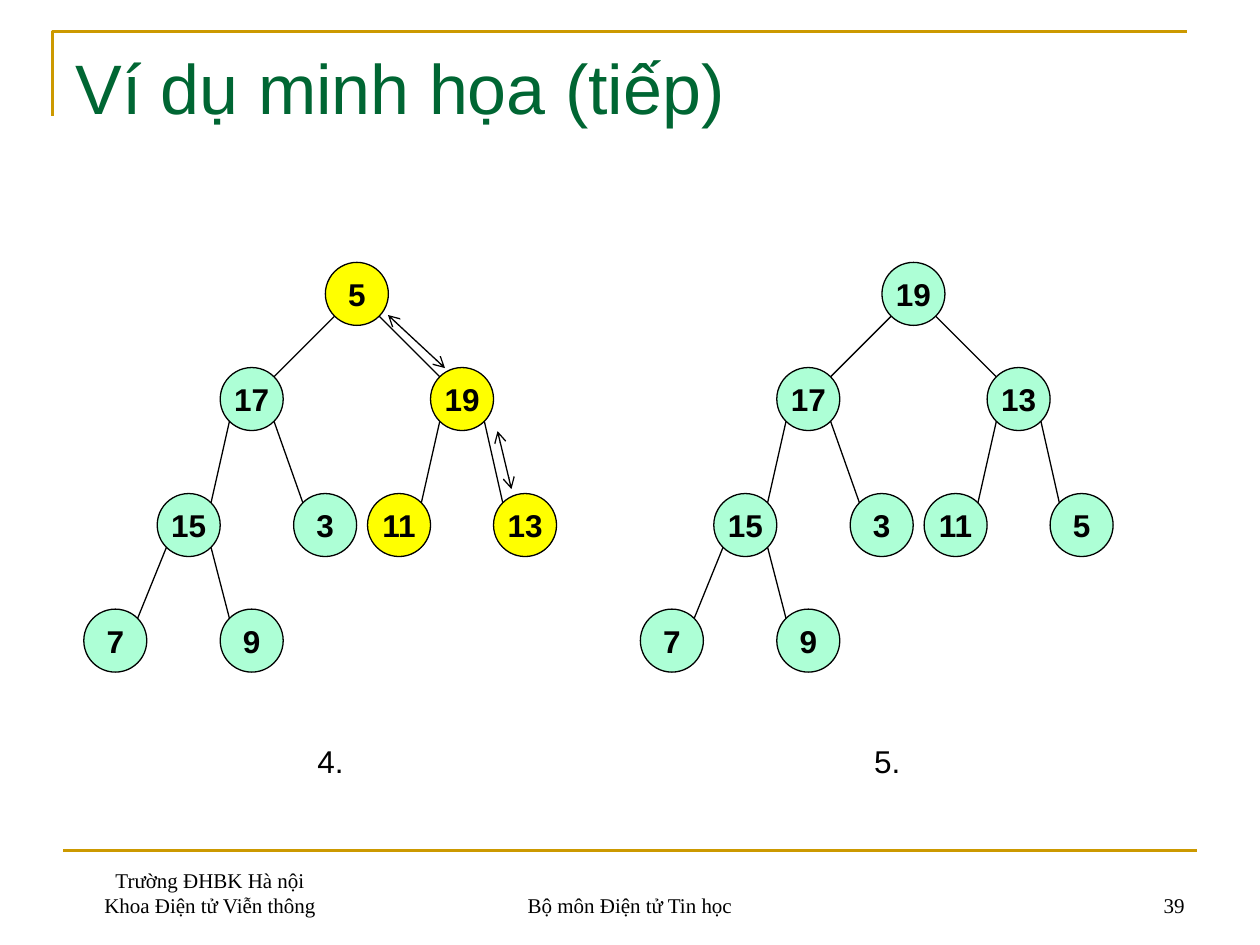
import math

import lxml.etree
import pptx
import pptx.dml.color
import pptx.enum.shapes
import pptx.enum.text
import pptx.oxml.ns
import pptx.util

Cm, Pt = pptx.util.Cm, pptx.util.Pt
ALIGN = pptx.enum.text.PP_ALIGN
ANCHOR = pptx.enum.text.MSO_ANCHOR

THEME = {
    "title": {"size": Pt(40), "name": "Arial", "color": "006633"},
    "key": {"size": Pt(18), "name": "Arial", "color": "000000", "bold": True},
    "caption": {"size": Pt(18), "name": "Arial", "color": "000000"},
    "footer": {"size": Pt(12), "name": "Times New Roman", "color": "000000"},
    "rule": ("CC9900", 1.5),
    "edge": ("000000", 0.75),
    "node": "ADFFD6",
    "swapped": "FFFF00",
}

TITLE = "Ví dụ minh họa (tiếp)"
# Keys in heap order: the children of node i are nodes 2i + 1 and 2i + 2.
# left, caption, keys, indexes of the swapped nodes
TREES = [
    (1.69, "4.", [5, 17, 19, 15, 3, 11, 13, 7, 9], {0, 2, 5, 6}),
    (12.91, "5.", [19, 17, 13, 15, 3, 11, 5, 7, 9], set()),
]
# left, width, lines, alignment
FOOTERS = [
    (1.27, 5.93, ["Trường ĐHBK Hà nội", "Khoa Điện tử Viễn thông"], ALIGN.CENTER),
    (8.68, 8.04, ["Bộ môn Điện tử Tin học"], ALIGN.CENTER),
    (18.2, 5.93, ["39"], ALIGN.RIGHT),
]
SWAP_ARROWS = [((7.82, 6.35), (8.97, 7.42)), ((10.03, 8.69), (10.31, 9.86))]

DIAMETER = 1.27
NODE_LEFTS = [4.87, 2.75, 6.99, 1.48, 4.23, 5.72, 8.26, 0, 2.75]  # from the tree's left
LEVEL_TOPS = [5.29, 7.41, 9.95, 12.28]
CAPTION_LEFT, CAPTION_TOP = 3.6, 14.82


def rgb(value):
    return pptx.dml.color.RGBColor.from_string(value)


def write(s, lines, style, align, anchor, margin=0.25):
    tf = s.text_frame
    frame = {"word_wrap": True, "auto_size": pptx.enum.text.MSO_AUTO_SIZE.NONE,
             "vertical_anchor": anchor, "margin_left": Cm(margin),
             "margin_right": Cm(margin), "margin_top": Cm(0.13), "margin_bottom": Cm(0.13)}
    for name, value in frame.items():
        setattr(tf, name, value)
    for i, line in enumerate(lines):
        p = tf.add_paragraph() if i else tf.paragraphs[0]
        p.alignment = align
        r = p.add_run()
        r.text = line
        for name, value in THEME[style].items():
            if name == "color":
                r.font.color.rgb = rgb(value)
            else:
                setattr(r.font, name, value)


def set_line(s, style):
    color, width = THEME[style]
    s.line.color.rgb = rgb(color)
    s.line.width = Pt(width)


def add_text(slide, box, *text):
    write(slide.shapes.add_textbox(*map(Cm, box)), *text)


def add_line(slide, start, end, style, arrows=False):
    s = slide.shapes.add_connector(
        pptx.enum.shapes.MSO_CONNECTOR.STRAIGHT, *map(Cm, (*start, *end)))
    set_line(s, style)
    qn = pptx.oxml.ns.qn
    if arrows:
        for tag in ("a:headEnd", "a:tailEnd"):
            lxml.etree.SubElement(s.line._get_or_add_ln(), qn(tag), type="arrow")
    lxml.etree.SubElement(s._element.spPr, qn("a:effectLst"))


def add_frame(slide):
    left, top = Cm(1.06), Cm(0.64)
    builder = slide.shapes.build_freeform(left, Cm(2.33))
    builder.add_line_segments([(left, top), (Cm(23.92), top)], close=False)
    s = builder.convert_to_shape()
    s.fill.background()
    s.shadow.inherit = False
    set_line(s, "rule")
    add_line(slide, (1.27, 17.15), (24.13, 17.15), "rule")


def add_tree(slide, left, caption, keys, swapped):
    radius = DIAMETER / 2
    reach = radius * math.sqrt(0.5)  # edges meet the circles on their diagonals
    centers = []
    for i, key in enumerate(keys):
        x, y = left + NODE_LEFTS[i], LEVEL_TOPS[(i + 1).bit_length() - 1]
        centers.append((x + radius, y + radius))
        s = slide.shapes.add_shape(pptx.enum.shapes.MSO_SHAPE.OVAL,
                                   *map(Cm, (x, y, DIAMETER, DIAMETER)))
        s.shadow.inherit = False
        s.fill.solid()
        s.fill.fore_color.rgb = rgb(THEME["swapped" if i in swapped else "node"])
        set_line(s, "edge")
        write(s, [str(key)], "key", ALIGN.CENTER, ANCHOR.MIDDLE, 0)
    for i in range(1, len(keys)):
        (px, py), (cx, cy) = centers[(i - 1) // 2], centers[i]
        dx = reach if cx > px else -reach
        add_line(slide, (px + dx, py + reach), (cx - dx, cy - reach), "edge")
    add_text(slide, (left + CAPTION_LEFT, CAPTION_TOP, 2.75, 1.02),
             [caption], "caption", ALIGN.CENTER, ANCHOR.TOP)


def main():
    prs = pptx.Presentation()
    prs.slide_width, prs.slide_height = Cm(25.4), Cm(19.05)
    slide = prs.slides.add_slide(prs.slide_layouts[5])

    title = slide.shapes.title
    title.left, title.top, title.width, title.height = map(Cm, (1.27, 0.76, 22.86, 3.18))
    write(title, [TITLE], "title", ALIGN.LEFT, ANCHOR.TOP)

    add_frame(slide)
    for left, width, lines, align in FOOTERS:
        add_text(slide, (left, 17.36, width, 1.27), lines, "footer", align, ANCHOR.BOTTOM)
    for tree in TREES:
        add_tree(slide, *tree)
    for start, end in SWAP_ARROWS:
        add_line(slide, start, end, "edge", arrows=True)
    prs.save("out.pptx")


if __name__ == "__main__":
    main()
